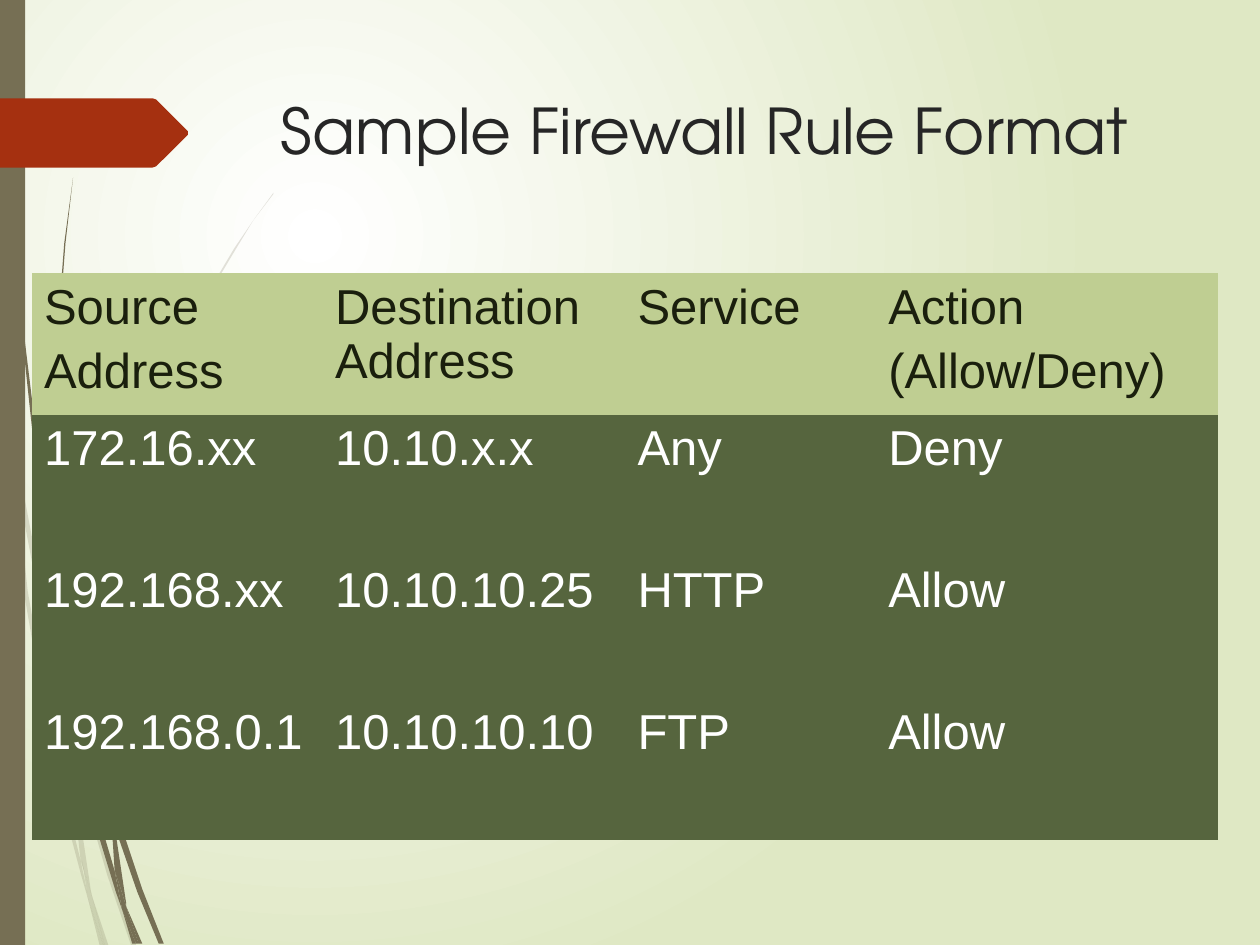
from dataclasses import dataclass

from lxml import etree
from pptx import Presentation
from pptx.dml.color import RGBColor
from pptx.enum.shapes import MSO_SHAPE
from pptx.enum.text import MSO_ANCHOR
from pptx.oxml.ns import qn
from pptx.util import Pt

RECTANGLE = MSO_SHAPE.RECTANGLE
TOP = MSO_ANCHOR.TOP
PX = 9144
PLAIN_TABLE = "{2D5ABB26-0587-4C30-8999-92F81FD0307C}"
COLORS = {
    "white": "FFFFFF", "mist": "DFE8C4", "bark": "766F54", "arrow": "A53010",
    "title": "262626", "ink": "1A1F0D", "header": "BFCE92", "body": "56653E",
}


@dataclass(frozen=True)
class Outline:
    points: tuple[tuple[int, int], ...]
    color: str = "bark"
    opacity: int = 100


@dataclass(frozen=True)
class RowStyle:
    fill: str
    text: str


PALE_BLADES = (
    ((8, 350), (6, 322), (0, 282), (0, 299), (7, 344)),
    ((40, 522), (59, 599), (59, 586), (43, 520), (10, 345), (12, 376)),
    ((64, 607), (61, 596), (61, 610), (85, 694), (104, 750), (108, 750), (88, 692)),
    ((83, 750), (86, 750), (73, 711)),
    ((64, 683), (48, 619), (22, 469), (12, 376), (8, 350), (19, 470), (45, 621),
     (64, 693), (70, 714), (69, 707)),
    ((58, 599), (60, 646), (64, 683), (67, 692), (73, 711), (72, 706), (63, 646),
     (61, 610), (61, 608)),
    ((61, 584), (76, 462), (111, 349), (159, 245), (187, 198), (201, 175), (217, 154),
     (217, 153), (201, 175), (186, 197), (158, 244), (110, 348), (75, 461), (59, 584),
     (59, 586), (61, 596)),
    ((70, 714), (79, 750), (82, 750)),
    ((61, 608), (61, 596), (59, 586), (58, 599)),
    ((67, 692), (65, 683), (69, 707), (70, 714), (82, 750), (83, 750), (73, 711)),
)
DARK_BLADES = (
    ((5, 110), (14, 233), (27, 355), (46, 477), (47, 481), (45, 457), (45, 453),
     (30, 355), (15, 232), (6, 109), (4, 48), (3, 0), (2, 0), (3, 48)),
    ((73, 592), (88, 645), (88, 631), (77, 590), (50, 472), (53, 505)),
    ((94, 649), (91, 641), (91, 656), (109, 708), (126, 749), (130, 749), (113, 706)),
    ((91, 691), (81, 657), (60, 556), (53, 505), (47, 477), (56, 557), (77, 659),
     (92, 708), (97, 722), (96, 717)),
    ((50, 472), (48, 453), (44, 349), (48, 245), (52, 193), (58, 141), (51, 193),
     (47, 245), (43, 349), (45, 449), (49, 472)),
    ((110, 749), (113, 749), (100, 719)),
    ((47, 477), (53, 505), (50, 472), (49, 472), (45, 449), (45, 453)),
    ((91, 633), (103, 552), (131, 476), (169, 406), (191, 374), (203, 359), (216, 344),
     (215, 344), (203, 358), (191, 373), (168, 405), (129, 474), (101, 551), (88, 631),
     (91, 641)),
    ((97, 722), (105, 749), (108, 749)),
    ((88, 645), (91, 691), (96, 706), (100, 719), (100, 716), (91, 656), (90, 651)),
    ((88, 645), (90, 651), (91, 656), (91, 641), (88, 631)),
    ((96, 706), (91, 691), (96, 717), (97, 722), (108, 749), (110, 749), (100, 719)),
)
ARROW = Outline(((149, 107), (124, 132), (121, 133), (0, 133), (0, 78), (121, 78),
                 (124, 79), (149, 104)), "arrow")

COLUMNS = (231, 240, 199, 272)
ROWS = (
    ("Source\nAddress", "Destination Address", "Service", "Action\n(Allow/Deny)"),
    ("172.16.xx", "10.10.x.x", "Any", "Deny"),
    ("192.168.xx", "10.10.10.25", "HTTP", "Allow"),
    ("192.168.0.1", "10.10.10.10", "FTP", "Allow"),
)
HEADER = RowStyle("header", "ink")
BODY = RowStyle("body", "white")


def rgb(name: str) -> RGBColor:
    return RGBColor.from_string(COLORS[name])


def set_font(paragraph, name: str, size: int, color: str) -> None:
    paragraph.font.name = name
    paragraph.font.size = Pt(size)
    paragraph.font.color.rgb = rgb(color)


def paint(shape, color: str, opacity: int = 100) -> None:
    shape.shadow.inherit = False
    shape.fill.solid()
    shape.fill.fore_color.rgb = rgb(color)
    shape.line.fill.background()
    if opacity < 100:
        tint = shape._element.spPr.find(qn("a:solidFill"))[0]
        etree.SubElement(tint, qn("a:alpha"), val=str(opacity * 1000))


def draw_outline(page, outline: Outline) -> None:
    start, *others = outline.points
    builder = page.shapes.build_freeform(*start, scale=PX)
    builder.add_line_segments(others, close=True)
    paint(builder.convert_to_shape(), outline.color, outline.opacity)


def draw_background(page) -> None:
    fill = page.background.fill
    fill.gradient()
    for stop, color in zip(fill.gradient_stops, ("white", "mist")):
        stop.color.rgb = rgb(color)
    gradient = page._element.find(".//" + qn("a:gradFill"))
    linear = gradient.find(qn("a:lin"))
    radial = etree.Element(qn("a:path"), path="circle")
    etree.SubElement(radial, qn("a:fillToRect"),
                     l="50000", t="50000", r="100000", b="100000")
    gradient.replace(linear, radial)


def draw_title(page, text: str) -> None:
    box = page.shapes.add_textbox(213 * PX, 68 * PX, 721 * PX, 140 * PX)
    frame = box.text_frame
    frame.word_wrap = True
    frame.vertical_anchor = TOP
    frame.text = text
    set_font(frame.paragraphs[0], "TeX Gyre Adventor", 36, "title")


def fill_cell(cell, text: str, style: RowStyle) -> None:
    cell.fill.solid()
    cell.fill.fore_color.rgb = rgb(style.fill)
    cell.text = text
    for paragraph in cell.text_frame.paragraphs:
        paragraph.space_before = Pt(5.6)
        set_font(paragraph, "Arial", 28, style.text)


def draw_rules(page) -> None:
    frame = page.shapes.add_table(len(ROWS), len(COLUMNS), 25 * PX, 217 * PX,
                                  sum(COLUMNS) * PX, 450 * PX)
    table = frame.table
    table.first_row = False
    table.horz_banding = False
    frame._element.find(".//" + qn("a:tableStyleId")).text = PLAIN_TABLE
    for column, width in zip(table.columns, COLUMNS):
        column.width = width * PX
    for index, (row, texts) in enumerate(zip(table.rows, ROWS)):
        for cell, text in zip(row.cells, texts):
            fill_cell(cell, text, BODY if index else HEADER)


def main() -> None:
    deck = Presentation()
    deck.slide_width, deck.slide_height = 1000 * PX, 750 * PX
    page = deck.slides.add_slide(deck.slide_layouts[6])
    draw_background(page)
    for blade in PALE_BLADES:
        draw_outline(page, Outline(blade, opacity=20))
    for blade in DARK_BLADES:
        draw_outline(page, Outline(blade))
    paint(page.shapes.add_shape(RECTANGLE, 0, 0, 20 * PX, 750 * PX), "bark")
    draw_outline(page, ARROW)
    draw_title(page, "Sample Firewall Rule Format")
    draw_rules(page)
    deck.save("out.pptx")


if __name__ == "__main__":
    main()
